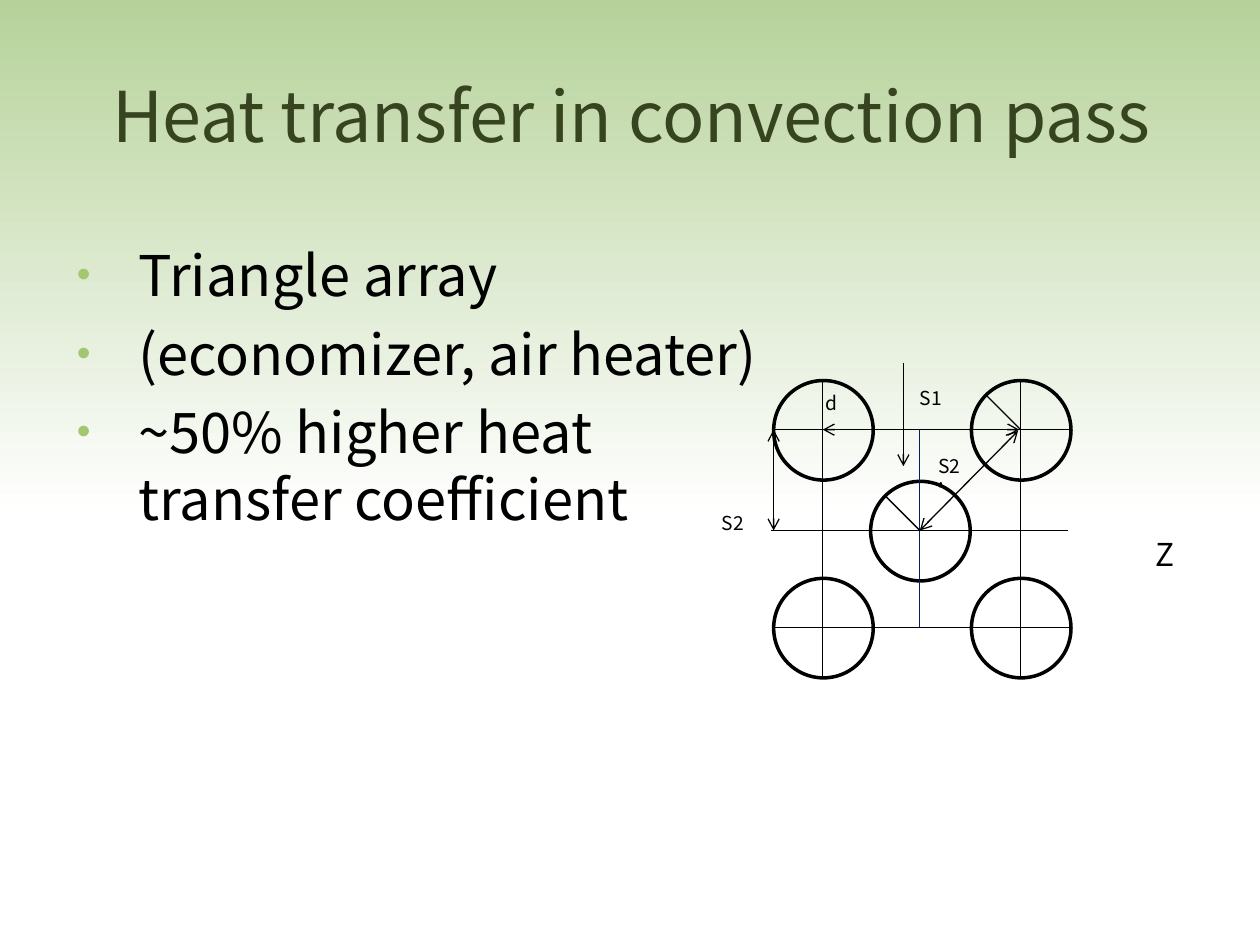
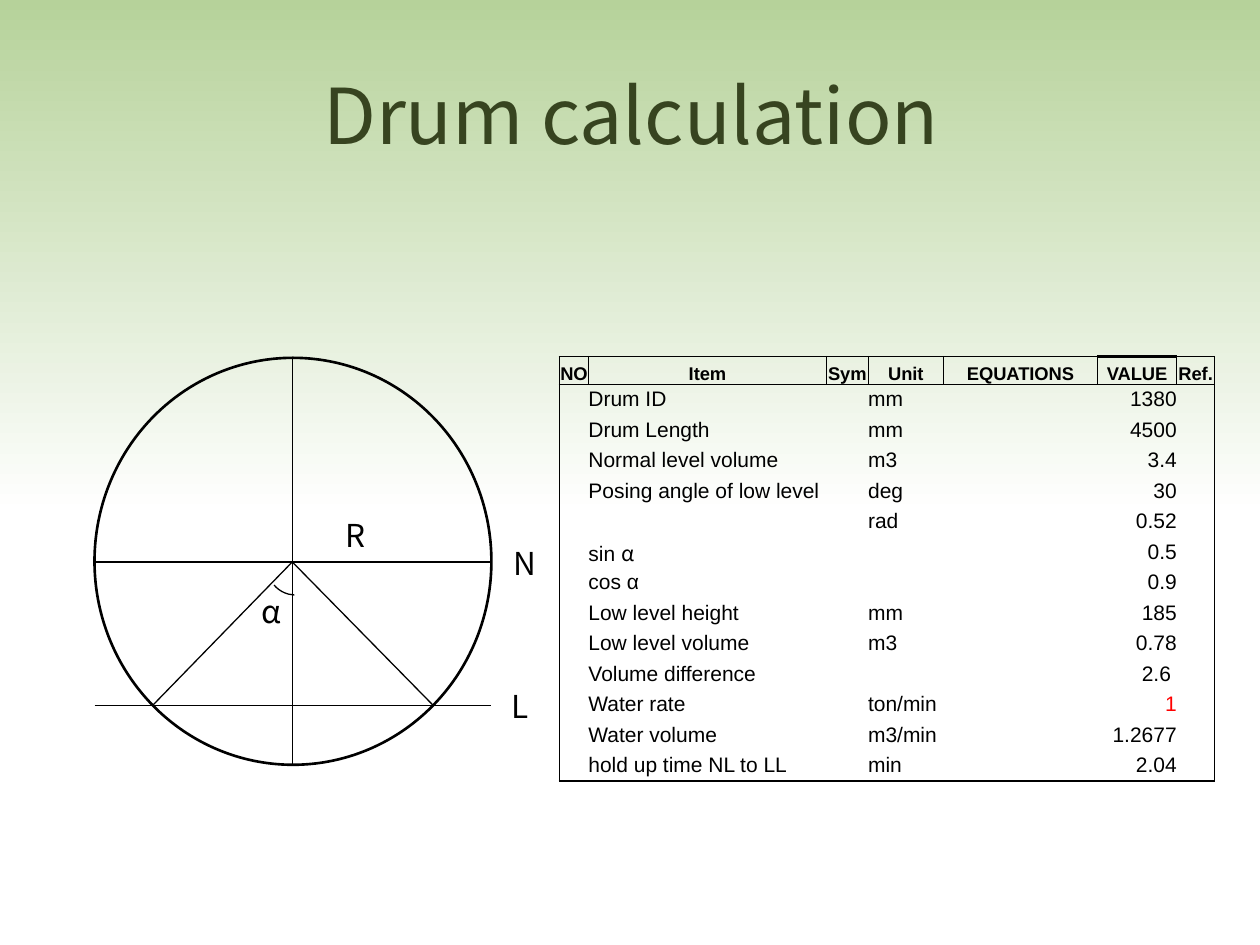
from lxml import etree
from pptx import Presentation
from pptx.dml.color import RGBColor
from pptx.enum.shapes import MSO_CONNECTOR, MSO_SHAPE
from pptx.enum.text import MSO_ANCHOR as Anchor, MSO_AUTO_SIZE as AutoSize, PP_ALIGN as Align
from pptx.oxml.ns import qn
from pptx.util import Inches, Pt

COLORS = {"ink": "000000", "title": "374420", "bullet": "A3C670", "band": "B6D29A",
          "paper": "FFFFFF", "axis": "002060", "input": "FF0000"}
SANS = "Noto Sans CJK KR"
ARIAL = "Arial"

HEADERS = ("NO", "Item", "Sym", "Unit", "EQUATIONS", "VALUE", "Ref.")
COLUMN_WIDTHS = (0.23, 1.89, 0.33, 0.6, 1.22, 0.63, 0.3)
VALUE_COLUMN = HEADERS.index("VALUE")
DRUM_ROWS = (
    ("Drum ID", "mm", "1380"),
    ("Drum Length", "mm", "4500"),
    ("Normal level volume", "m3", "3.4"),
    ("Posing angle of low level", "deg", "30"),
    ("", "rad", "0.52"),
    ("sin |α", "", "0.5"),
    ("cos α", "", "0.9"),
    ("Low level height", "mm", "185"),
    ("Low level volume", "m3", "0.78"),
    ("Volume difference", "", "2.6 "),
    ("Water rate", "ton/min", "1"),
    ("Water volume", "m3/min", "1.2677"),
    ("hold up time NL to LL", "min", "2.04"),
)


def rgb(name):
    """Return the named colour."""
    return RGBColor.from_string(COLORS[name])


def add_node(parent, tag, **attributes):
    """Append a DrawingML element."""
    return etree.SubElement(parent, qn(tag), attributes)


def add_span(para, text, size, color="ink", font=SANS, bold=False):
    """Add one formatted run to a paragraph."""
    span = para.add_run()
    span.text = text
    span.font.size = Pt(size)
    span.font.name = font
    span.font.bold = bold
    span.font.color.rgb = rgb(color)


def place(shape, left, top, width, height):
    """Move and size a shape, in inches."""
    shape.left, shape.top = Inches(left), Inches(top)
    shape.width, shape.height = Inches(width), Inches(height)


class Drawing:
    """A group of outlined parts placed relative to a corner."""

    def __init__(self, page, left, top):
        """Start an empty group at the corner."""
        self.shapes = page.shapes.add_group_shape().shapes
        self.left, self.top = left, top

    def at(self, x, y):
        """Turn a relative point into slide lengths."""
        return Inches(self.left + x), Inches(self.top + y)

    def outline(self, kind, x, y, width, height, weight):
        """Add an unfilled preset shape."""
        shape = self.shapes.add_shape(kind, *self.at(x, y), Inches(width), Inches(height))
        shape.fill.background()
        shape.line.color.rgb = rgb("ink")
        shape.line.width = Pt(weight)
        shape.shadow.inherit = False
        return shape

    def line(self, start, end, color="ink", arrows=()):
        """Add a thin straight line with optional arrowheads."""
        connector = self.shapes.add_connector(
            MSO_CONNECTOR.STRAIGHT, *self.at(*start), *self.at(*end))
        connector.line.color.rgb = rgb(color)
        connector.line.width = Pt(0.75)
        properties = connector.element.spPr
        for arrow in arrows:
            add_node(properties.find(qn("a:ln")), f"a:{arrow}", type="arrow")
        add_node(properties, "a:effectLst")

    def label(self, text, x, y, width, size, height=0.4):
        """Add a short text label."""
        box = self.shapes.add_textbox(*self.at(x, y), Inches(width), Inches(height))
        box.text_frame.word_wrap = True
        box.text_frame.auto_size = AutoSize.SHAPE_TO_FIT_TEXT
        add_span(box.text_frame.paragraphs[0], text, size)


def add_band(deck, page):
    """Put the gradient band behind everything on the master."""
    band = page.shapes.add_shape(MSO_SHAPE.RECTANGLE, 0, 0, deck.slide_width, Inches(4.08))
    band.fill.gradient()
    band.fill.gradient_angle = 270
    for stop, color in zip(band.fill.gradient_stops, ("band", "paper")):
        stop.color.rgb = rgb(color)
    band.line.fill.background()
    band.shadow.inherit = False
    band.element.nvSpPr.cNvPr.set("id", "99")
    deck.slide_master.shapes.element.insert(2, band.element)


def add_title(page, text, size):
    """Format the title placeholder."""
    title = page.shapes.title
    place(title, 0.51, 0.28, 9, 1.25)
    title.text_frame.vertical_anchor = Anchor.MIDDLE
    para = title.text_frame.paragraphs[0]
    para.alignment = Align.CENTER
    add_span(para, text, size, "title")


def add_bullets(page, lines):
    """Fill the body placeholder with a bulleted list."""
    body = page.placeholders[1]
    place(body, 0.51, 1.86, 5.84, 4.95)
    for index, text in enumerate(lines):
        frame = body.text_frame
        para = frame.add_paragraph() if index else frame.paragraphs[0]
        add_span(para, text, 32)
        properties = para._p.get_or_add_pPr()
        properties.set("marL", str(Inches(0.49)))
        properties.set("indent", str(-Inches(0.49)))
        add_node(add_node(properties, "a:buClr"), "a:srgbClr", val=COLORS["bullet"])
        add_node(properties, "a:buSzPct", val="70000")
        add_node(properties, "a:buChar", char="•")


def add_tube_array(page, left, top):
    """Draw the staggered tubes with their spacings."""
    drawing = Drawing(page, left, top)
    diameter, pitch, radius = 0.79, 1.57, 0.39
    span, far = pitch + diameter, pitch + radius
    middle_x, middle_y = 1.16, 1.19
    corners = [(x, y) for y in (0, pitch) for x in (0, pitch)]
    for x, y in corners + [(0.77, 0.8)]:
        drawing.outline(MSO_SHAPE.OVAL, x, y, diameter, diameter, 2)
    for offset in (radius, far):
        drawing.line((0, offset), (span, offset))
        drawing.line((offset, 0), (offset, span))
    drawing.line((-0.02, middle_y), (span - 0.02, middle_y))
    drawing.line((middle_x, radius), (middle_x, far), "axis")
    for x, y in ((middle_x, middle_y), (far, radius)):
        drawing.line((x - 0.27, y - 0.27), (x, y))
    both = ("headEnd", "tailEnd")
    drawing.line((0, radius), (0, middle_y), arrows=both)
    drawing.line((radius, radius), (far - 0.01, radius), arrows=both)
    drawing.line((middle_x, middle_y), (far - 0.02, radius + 0.01), arrows=both)
    drawing.line((1.03, -0.14), (1.03, 0.68), arrows=("tailEnd",))
    drawing.label("S1", 1.06, 0, 0.51, 11)
    drawing.label("S2", -0.51, 0.99, 0.51, 11)
    drawing.label("d", 0.31, 0.04, 0.26, 11)
    drawing.label("S2’", 1.21, 0.54, 0.41, 11, 0.29)
    drawing.label("Z", 2.93, 1.18, 0.35, 18)


def add_drum(page, left, top):
    """Draw the drum section with its normal and low levels."""
    drawing = Drawing(page, left, top)
    width, height = 3.15, 3.23
    center, low = (1.57, 1.62), 2.76
    drawing.outline(MSO_SHAPE.OVAL, 0, 0, width, height, 1.5)
    for y in (center[1], low):
        drawing.line((0, y), (width, y))
    drawing.line((center[0], 0), (center[0], height))
    for x in (0.46, 2.69):
        drawing.line(center, (x, low))
    angle = drawing.outline(MSO_SHAPE.ARC, 1.37, 1.43, 0.46, 0.45, 0.75)
    angle.rotation = 134.4
    angle.adjustments[0], angle.adjustments[1] = 191.54, 3.21
    for text, x, y, label_width in (("R", 1.89, 1.21, 0.37), ("α", 1.23, 1.81, 0.28),
                                    ("N", 3.23, 1.43, 0.38), ("L", 3.21, 2.56, 0.34)):
        drawing.label(text, x, y, label_width, 18)


def set_borders(cell, row, column):
    """Rule the header cells and the outside of the table."""
    header, last_column = row == 0, len(HEADERS) - 1
    inner = 0.5 if header else 0
    top = 2 if header and column == VALUE_COLUMN else 1
    widths = {"L": 1 if column == 0 else inner,
              "R": 1 if column == last_column else inner,
              "T": top if row <= 1 and (header or row == 1) else 0,
              "B": 1 if row in (0, len(DRUM_ROWS)) else 0}
    if row == 1:
        widths["T"] = 1
    for side, width in widths.items():
        edge = add_node(cell._tc.get_or_add_tcPr(), f"a:ln{side}", w=str(Pt(width)))
        if width:
            add_node(add_node(edge, "a:solidFill"), "a:srgbClr", val=COLORS["ink"])
        else:
            add_node(edge, "a:noFill")


def fill_cell(cell, text, row, column):
    """Write and format one table cell."""
    cell.margin_left = cell.margin_right = cell.margin_top = cell.margin_bottom = 0
    cell.vertical_anchor = Anchor.MIDDLE if row else Anchor.BOTTOM
    set_borders(cell, row, column)
    cell.fill.background()
    para = cell.text_frame.paragraphs[0]
    if not text:
        ending = add_node(para._p, "a:endParaRPr", sz="1200")
        add_node(ending, "a:latin", typeface=SANS)
        add_node(ending, "a:ea", typeface=SANS)
    elif row == 0:
        para.alignment = Align.CENTER
        add_span(para, text, 10.5, font=ARIAL, bold=True)
    else:
        para.alignment = Align.RIGHT if column == VALUE_COLUMN else Align.LEFT
        color = "input" if text == "1" else "ink"
        for part, font in zip(text.split("|"), (ARIAL, SANS)):
            add_span(para, part, 12, color, font)


def add_drum_table(page, left, top):
    """Build the table of drum values."""
    rows = [HEADERS] + [("", item, "", unit, "", value, "") for item, unit, value in DRUM_ROWS]
    heights = [0.22] + [0.2] * len(DRUM_ROWS)
    frame = page.shapes.add_table(len(rows), len(HEADERS), Inches(left), Inches(top),
                                  Inches(sum(COLUMN_WIDTHS)), Inches(sum(heights)))
    table = frame.table
    table.first_row = table.horz_banding = False
    for column, width in zip(table.columns, COLUMN_WIDTHS):
        column.width = Inches(width)
    for row, (texts, height) in enumerate(zip(rows, heights)):
        table.rows[row].height = Inches(height)
        for column, text in enumerate(texts):
            fill_cell(table.cell(row, column), text, row, column)


def build_convection(deck):
    """Build the slide on the tube array."""
    page = deck.slides.add_slide(deck.slide_layouts[1])
    add_band(deck, page)
    add_title(page, "Heat transfer in convection pass", 40)
    add_bullets(page, ("Triangle array", "(economizer, air heater)",
                       "~50% higher heat transfer coefficient"))
    add_tube_array(page, 6.14, 3.02)


def build_drum(deck):
    """Build the slide on the drum."""
    page = deck.slides.add_slide(deck.slide_layouts[5])
    add_title(page, "Drum calculation", 44)
    add_drum_table(page, 4.44, 2.83)
    add_drum(page, 0.75, 2.84)


def main():
    """Build and save the deck."""
    deck = Presentation()
    deck.slide_width, deck.slide_height = Inches(10), Inches(7.5)
    build_convection(deck)
    build_drum(deck)
    deck.save("out.pptx")


if __name__ == "__main__":
    main()
